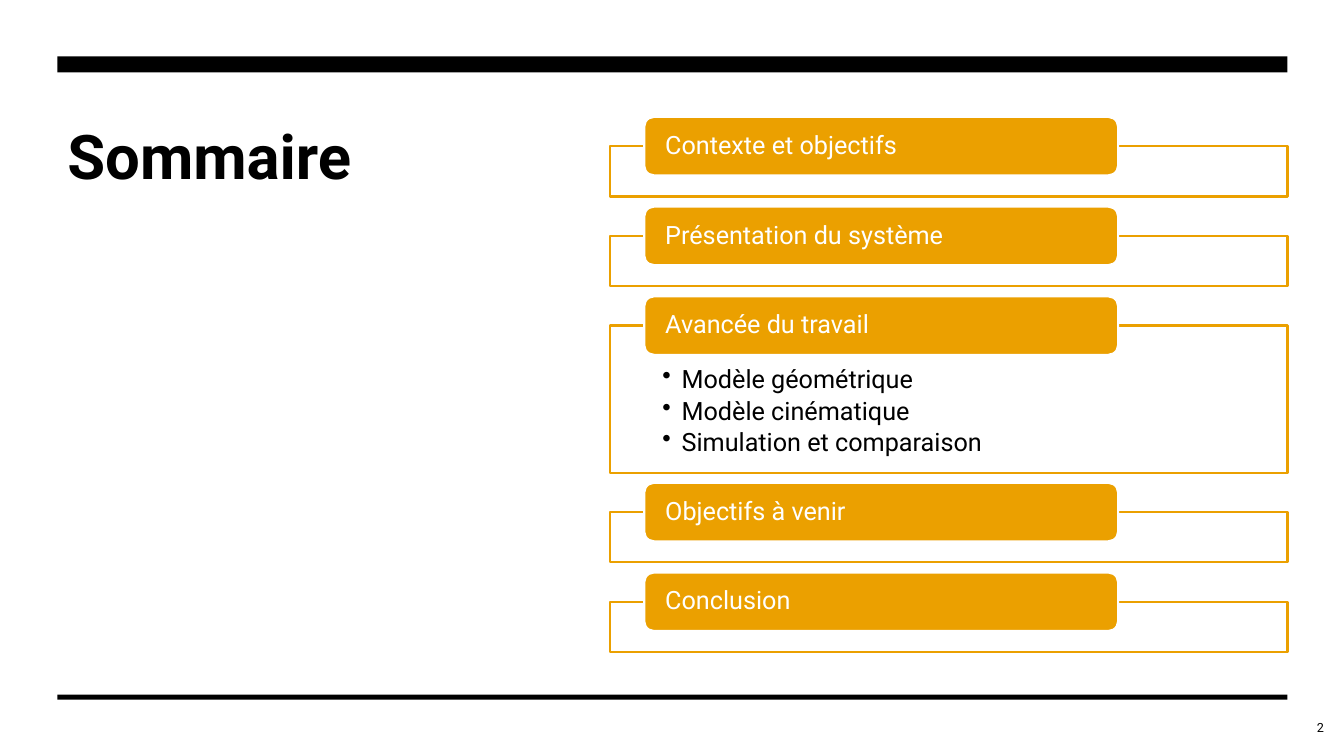
"""Build the agenda slide: a title beside five framed section tabs."""
from lxml import etree
from pptx import Presentation
from pptx import util as u
from pptx.dml.color import RGBColor
from pptx.enum import shapes, text
from pptx.oxml.ns import qn

BLACK = RGBColor(0x00, 0x00, 0x00)
WHITE = RGBColor(0xFF, 0xFF, 0xFF)
AMBER = RGBColor(0xEB, 0xA0, 0x00)

LEFT, WIDTH = 0.57, 12.2
FRAME_LEFT, FRAME_WIDTH, FRAME_TOP, FRAME_GAP = 6.05, 6.72, 1.45, 0.39
TAB_LEFT, TAB_WIDTH, TAB_HEIGHT = 6.39, 4.7, 0.58
INDENT = 0.19

SECTIONS = [
    ("Contexte et objectifs", 0.5, []),
    ("Présentation du système", 0.5, []),
    ("Avancée du travail", 1.46,
     ["Modèle géométrique", "Modèle cinématique", "Simulation et comparaison"]),
    ("Objectifs à venir", 0.5, []),
    ("Conclusion", 0.5, []),
]

presentation = Presentation()
presentation.slide_width, presentation.slide_height = u.Inches(13.33), u.Inches(7.5)
slide = presentation.slides.add_slide(presentation.slide_layouts[6])


def add_box(kind, box, fill, line=None):
    shape = slide.shapes.add_shape(kind, *map(u.Inches, box))
    shape.shadow.inherit = False
    shape.fill.solid()
    shape.fill.fore_color.rgb = fill
    if line is None:
        shape.line.fill.background()
    else:
        shape.line.color.rgb = line
        shape.line.width = u.Pt(1.5)
    return shape


def write(shape, lines, margins, anchor, font, layout):
    frame = shape.text_frame
    frame.word_wrap = True
    frame.vertical_anchor = anchor
    for side, margin in zip(("left", "top", "right", "bottom"), margins):
        setattr(frame, f"margin_{side}", u.Inches(margin))
    for index, line in enumerate(lines):
        paragraph = frame.add_paragraph() if index else frame.paragraphs[0]
        for name, value in layout.items():
            setattr(paragraph, name, value)
        run = paragraph.add_run()
        run.text = line
        run.font.color.rgb = font["color"]
        for name in ("name", "size", "bold"):
            setattr(run.font, name, font[name])


for top, height in ((0.56, 0.16), (6.89, 0.05)):
    add_box(shapes.MSO_SHAPE.RECTANGLE, (LEFT, top, WIDTH, height), BLACK)

body_font = {"name": "Roboto", "size": u.Pt(18), "bold": False, "color": BLACK}
tab_font = body_font | {"color": WHITE}
body_layout = {"alignment": text.PP_ALIGN.LEFT, "line_spacing": 0.9, "space_after": u.Pt(3)}

title = slide.shapes.add_textbox(*map(u.Inches, (LEFT, 1.07, 4.69, 3.68)))
write(title, ["Sommaire"], (0.1, 0.1, 0.1, 0.05), text.MSO_ANCHOR.TOP,
      body_font | {"size": u.Pt(44), "bold": True}, {"alignment": text.PP_ALIGN.LEFT})

number = slide.shapes.add_textbox(*map(u.Inches, (12.53, 7.02, 0.7, 0.4)))
write(number, ["2"], (0.1, 0.05, 0.1, 0.05), text.MSO_ANCHOR.MIDDLE,
      body_font | {"size": u.Pt(9)}, {"alignment": text.PP_ALIGN.RIGHT})

top = FRAME_TOP
for heading, height, items in SECTIONS:
    frame_shape = add_box(shapes.MSO_SHAPE.RECTANGLE,
                          (FRAME_LEFT, top, FRAME_WIDTH, height), WHITE, AMBER)
    if items:
        write(frame_shape, items, (0.52, 0.41, 0.52, 0.14), text.MSO_ANCHOR.TOP,
              body_font, body_layout)
        for paragraph in frame_shape.text_frame.paragraphs:
            properties = paragraph._p.get_or_add_pPr()
            properties.set("marL", str(u.Inches(INDENT)))
            properties.set("indent", str(-u.Inches(INDENT)))
            etree.SubElement(properties, qn("a:buChar"), char="•")
    tab = add_box(shapes.MSO_SHAPE.ROUNDED_RECTANGLE,
                  (TAB_LEFT, top - TAB_HEIGHT / 2, TAB_WIDTH, TAB_HEIGHT), AMBER, WHITE)
    write(tab, [heading], (0.18, 0, 0.18, 0), text.MSO_ANCHOR.MIDDLE, tab_font, body_layout)
    top += height + FRAME_GAP

presentation.save("out.pptx")
